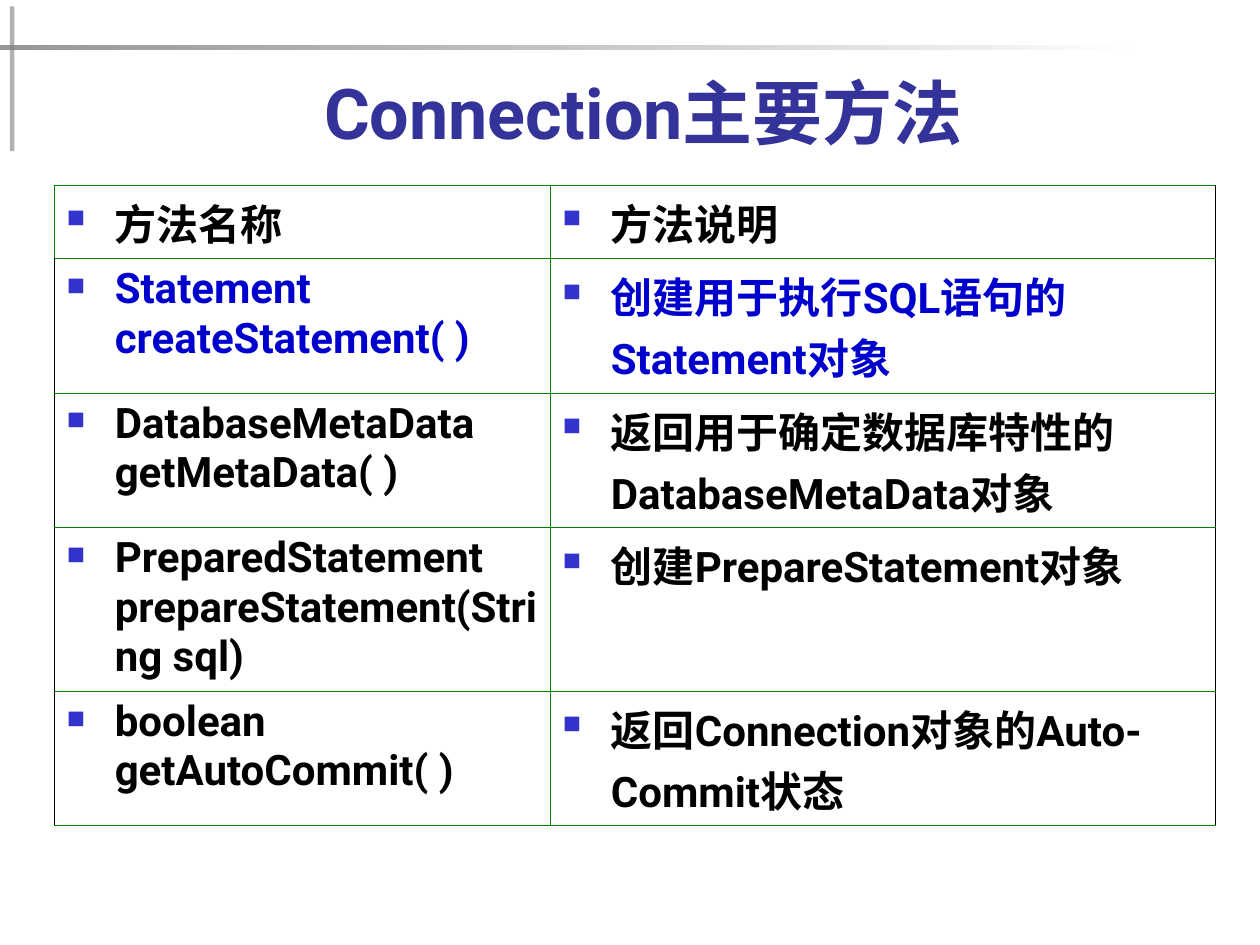
from lxml import etree
from pptx import Presentation
from pptx.dml.color import RGBColor
from pptx.enum import shapes, text
from pptx.oxml import ns
from pptx.util import Cm, Pt

FONT = "Roboto"
TITLE_BLUE = RGBColor(0x33, 0x33, 0x99)
BULLET_BLUE = RGBColor(0x33, 0x33, 0xCC)
ACCENT_BLUE = RGBColor(0x00, 0x00, 0xCC)
BLACK = RGBColor(0x00, 0x00, 0x00)
DARK = RGBColor(0x1C, 0x1C, 0x1C)
GREY = RGBColor(0x80, 0x80, 0x80)
WHITE = RGBColor(0xFF, 0xFF, 0xFF)
GREEN = RGBColor(0x00, 0x80, 0x00)

# Each row: method, description, text colour, height in cm
METHODS = [
    ("方法名称", "方法说明", BLACK, 1.27),
    ("Statement createStatement( )", "创建用于执行SQL语句的Statement对象", ACCENT_BLUE, 2.29),
    ("DatabaseMetaData getMetaData( )", "返回用于确定数据库特性的DatabaseMetaData对象", BLACK, 2.29),
    ("PreparedStatement prepareStatement(String sql)", "创建PrepareStatement对象", BLACK, 3.3),
    ("boolean getAutoCommit( )", "返回Connection对象的Auto-Commit状态", BLACK, 2.29),
]
COLUMN_WIDTHS = (10, 13.41)


def add_child(parent, tag, **attributes):
    child = etree.SubElement(parent, ns.qn(tag))
    for name, value in attributes.items():
        child.set(name, str(value))
    return child


def set_alpha(fill_element, percent):
    """Make the first colour of a fill partly transparent."""
    color = next(fill_element.iter(ns.qn("a:srgbClr")))
    add_child(color, "a:alpha", val=percent * 1000)


def add_bar(page, left, top, width, height):
    bar = page.shapes.add_shape(shapes.MSO_SHAPE.RECTANGLE,
                                Cm(left), Cm(top), Cm(width), Cm(height))
    bar.shadow.inherit = False
    bar.line.fill.background()
    # Decoration lies behind the title
    page.shapes.title.element.addprevious(bar.element)
    return bar


def add_decoration(page):
    upright = add_bar(page, 0.2, 0.13, 0.09, 2.92)
    upright.fill.solid()
    upright.fill.fore_color.rgb = DARK
    set_alpha(upright.element.spPr, 34)

    fading = add_bar(page, 0, 0.91, 22.86, 0.09)
    fading.fill.gradient()
    fading.fill.gradient_angle = 0
    for stop, color in zip(fading.fill.gradient_stops, (GREY, WHITE)):
        stop.color.rgb = color
    set_alpha(fading.element.spPr, 81)


def add_text(para, words, size, color):
    span = para.add_run()
    span.text = words
    span.font.name = FONT
    span.font.size = Pt(size)
    span.font.bold = True
    span.font.color.rgb = color


def fill_title(page, words):
    box = page.shapes.title
    box.left, box.top, box.width, box.height = Cm(1.7), Cm(0.91), Cm(22.86), Cm(2.31)
    frame = box.text_frame
    frame.word_wrap = True
    frame.auto_size = text.MSO_AUTO_SIZE.NONE
    frame.vertical_anchor = text.MSO_ANCHOR.BOTTOM
    para = frame.paragraphs[0]
    para.alignment = text.PP_ALIGN.CENTER
    add_text(para, words, 40, TITLE_BLUE)


def add_bullet(para):
    properties = para._p.get_or_add_pPr()
    properties.set("marL", str(Cm(0.97)))
    properties.set("indent", str(-Cm(0.97)))
    color = add_child(properties, "a:buClr")
    add_child(color, "a:srgbClr", val=BULLET_BLUE)
    add_child(properties, "a:buSzPct", val=60000)
    add_child(properties, "a:buChar", char="■")


def set_borders(cell, colors):
    """Draw the borders, given as a colour for each of L, R, T and B."""
    properties = cell._tc.get_or_add_tcPr()
    for position, (side, color) in enumerate(colors.items()):
        width = Pt(0.45) if color == GREEN else Pt(0.34)
        line = add_child(properties, f"a:ln{side}", w=width)
        add_child(add_child(line, "a:solidFill"), "a:srgbClr", val=color)
        properties.insert(position, line)


def add_method_table(page):
    frame = page.shapes.add_table(len(METHODS), len(COLUMN_WIDTHS),
                                  Cm(1.09), Cm(3.73), Cm(23.41), Cm(11.44))
    table = frame.table
    table.first_row = table.horz_banding = False
    for column, width in zip(table.columns, COLUMN_WIDTHS):
        column.width = Cm(width)

    for row, (method, description, color, height) in enumerate(METHODS):
        table.rows[row].height = Cm(height)
        for column, words in enumerate((method, description)):
            cell = table.cell(row, column)
            cell.fill.background()
            # The outer sides are black, except beside the heading
            left = BLACK if column == 0 and row > 0 else GREEN
            right = BLACK if column == 1 else GREEN
            set_borders(cell, {"L": left, "R": right, "T": GREEN, "B": GREEN})
            para = cell.text_frame.paragraphs[0]
            add_bullet(para)
            add_text(para, words, 24, color)


def main():
    deck = Presentation()
    deck.slide_width, deck.slide_height = Cm(25.4), Cm(19.05)
    page = deck.slides.add_slide(deck.slide_layouts[5])
    add_decoration(page)
    fill_title(page, "Connection主要方法 ")
    add_method_table(page)
    deck.save("out.pptx")


if __name__ == "__main__":
    main()
